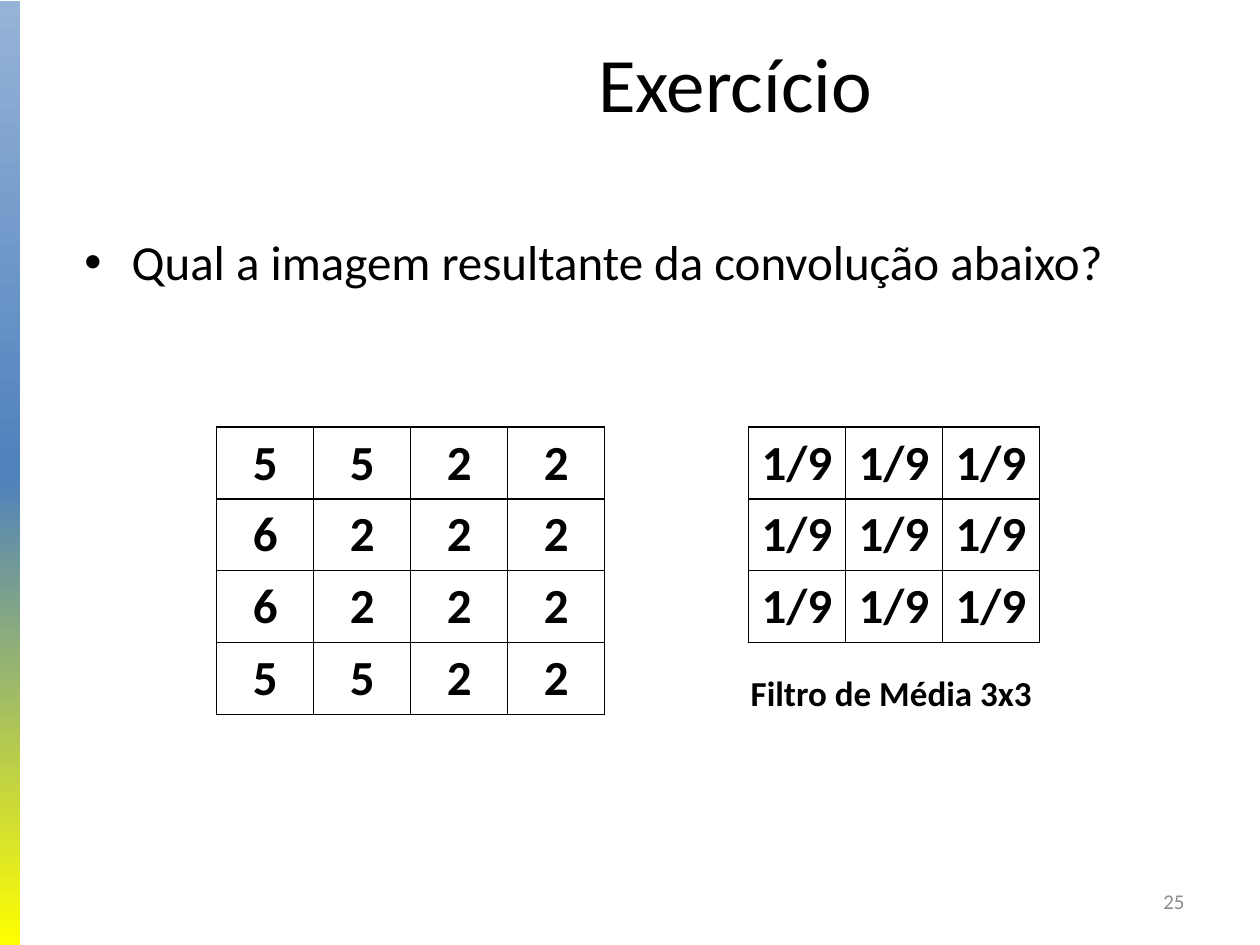
import copy
import pptx
import pptx.util
import pptx.dml.color
import pptx.enum.shapes
import pptx.enum.text
import pptx.oxml
import pptx.oxml.ns
from pptx.util import Inches

RGBColor = pptx.dml.color.RGBColor
ALIGN = pptx.enum.text.PP_ALIGN
MIDDLE = pptx.enum.text.MSO_ANCHOR.MIDDLE
BLACK = RGBColor(0x00, 0x00, 0x00)
GRAY = RGBColor(0x8C, 0x8C, 0x8C)
SKY = RGBColor(0x95, 0xB3, 0xD7)
BLUE = RGBColor(0x4F, 0x81, 0xBD)
YELLOW = RGBColor(0xFF, 0xFF, 0x00)


def write(frame, text, size=28, color=BLACK, bold=False, align=ALIGN.LEFT):
    frame.text = text
    para = frame.paragraphs[0]
    para.alignment = align
    para.space_before = pptx.util.Pt(0)
    font = para.runs[0].font
    font.name = "Calibri"
    font.size = pptx.util.Pt(size)
    font.bold = bold
    font.color.rgb = color


def place(shape, left, top, width, height):
    shape.left, shape.top = Inches(left), Inches(top)
    shape.width, shape.height = Inches(width), Inches(height)


deck = pptx.Presentation()
deck.slide_width, deck.slide_height = Inches(10), Inches(7.5)
slide = deck.slides.add_slide(deck.slide_layouts[1])
shapes = slide.shapes

# Gradient bar on the left edge, behind everything
bar = shapes.add_shape(pptx.enum.shapes.MSO_SHAPE.RECTANGLE,
                       Inches(-0.04), Inches(0.01), Inches(0.2), Inches(7.5))
bar.shadow.inherit = False
bar.line.fill.background()
bar.fill.gradient()
bar.fill.gradient_angle = 270
stops = bar.element.find(".//" + pptx.oxml.ns.qn("a:gsLst"))
stops.insert(1, copy.deepcopy(stops[0]))
for stop, spot, color in zip(bar.fill.gradient_stops, (0, 0.5, 1), (SKY, BLUE, YELLOW)):
    stop.position = spot
    stop.color.rgb = color
shapes.element.insert(2, bar.element)

# Title and question
title = shapes.title
place(title, 2.17, 0.13, 7.33, 1.03)
title.text_frame.vertical_anchor = MIDDLE
write(title.text_frame, "Exercício", size=44, align=ALIGN.CENTER)

body = slide.placeholders[1]
place(body, 0.57, 1.79, 9, 4.95)
write(body.text_frame, "Qual a imagem resultante da convolução abaixo?")

# Slide number
number = shapes.add_textbox(Inches(7.17), Inches(6.95), Inches(2.33), Inches(0.4))
number.text_frame.word_wrap = True
number.text_frame.vertical_anchor = MIDDLE
write(number.text_frame, "25", size=12, color=GRAY, align=ALIGN.RIGHT)

# Image matrix and filter matrix
image = ["5522", "6222", "6222", "5522"]
mask = [["1/9"] * 3] * 3
wide, high = 0.77, 0.57
for left, grid in ((1.72, image), (5.94, mask)):
    rows, cols = len(grid), len(grid[0])
    table = shapes.add_table(rows, cols, Inches(left), Inches(3.39),
                             Inches(wide * cols), Inches(high * rows)).table
    table.first_row = table.horz_banding = False
    for r, line in enumerate(grid):
        for c, value in enumerate(line):
            cell = table.cell(r, c)
            cell.vertical_anchor = MIDDLE
            write(cell.text_frame, value, bold=True, align=ALIGN.CENTER)
            props = cell._tc.get_or_add_tcPr()
            for side in ("lnL", "lnR", "lnT", "lnB"):
                props.append(pptx.oxml.parse_xml(
                    f'<a:{side} {pptx.oxml.ns.nsdecls("a")} w="12700"><a:solidFill>'
                    f'<a:srgbClr val="{BLACK}"/></a:solidFill></a:{side}>'))
            cell.fill.background()

# Filter caption
label = shapes.add_textbox(Inches(5.86), Inches(5.28), Inches(2.45), Inches(0.44))
label.text_frame.word_wrap = False
label.text_frame.auto_size = pptx.enum.text.MSO_AUTO_SIZE.SHAPE_TO_FIT_TEXT
write(label.text_frame, "Filtro de Média 3x3", size=20, bold=True)

deck.save("out.pptx")
